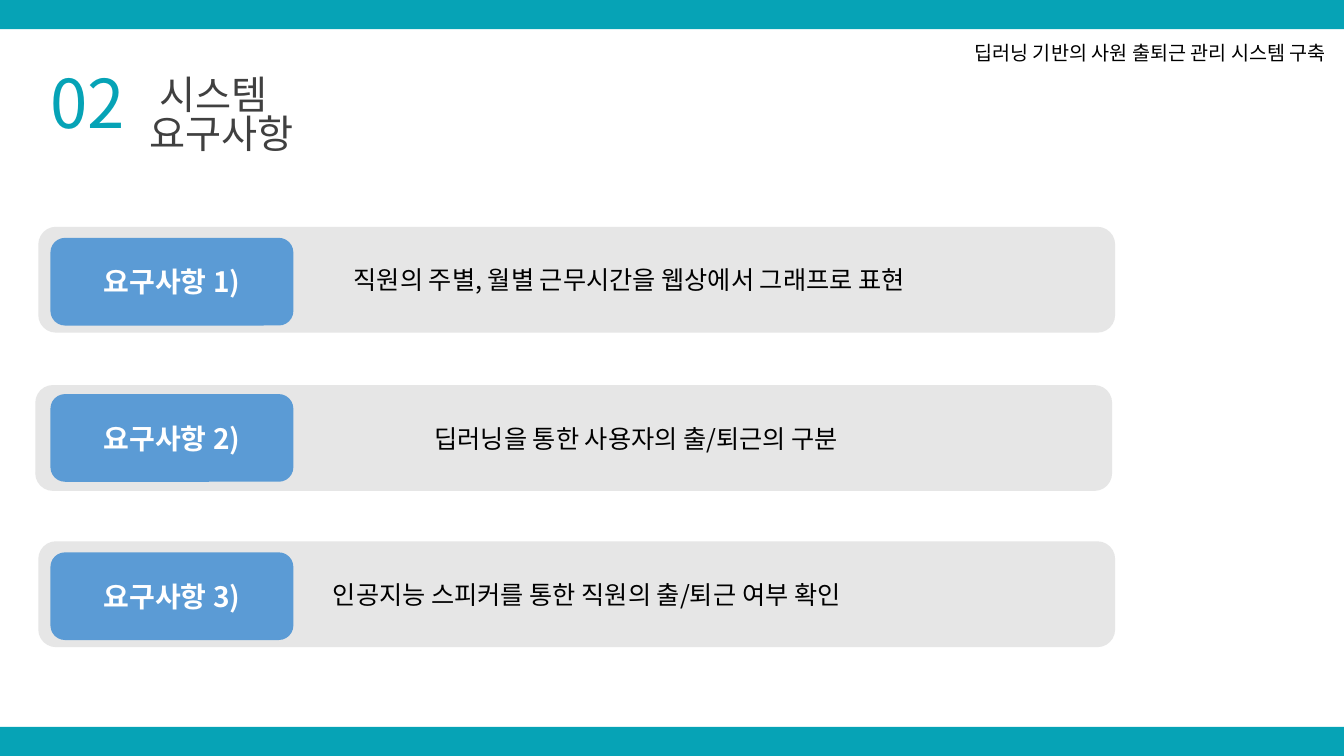
from pptx import Presentation
from pptx import util as u
from pptx.dml.color import RGBColor
from pptx.enum import shapes, text
from pptx.oxml.ns import qn
from lxml import etree

TEAL, BLUE, GREY = "06A3B6", "5B9BD5", "E6E6E6"
BLACK, DARK, WHITE = "000000", "404040", "FFFFFF"
LEFT, CENTER = text.PP_ALIGN.LEFT, text.PP_ALIGN.CENTER


def color(hex_value):
    return RGBColor.from_string(hex_value)


class RequirementSlide:
    font_name = "Noto Sans CJK KR"

    def __init__(self, prs):
        self.slide = prs.slides.add_slide(prs.slide_layouts[5])

    def set_words(self, shape, words, size, ink, align=LEFT, bold=False):
        frame = shape.text_frame
        frame.text = words
        for paragraph in frame.paragraphs:
            paragraph.alignment = align
            for run in paragraph.runs:
                font = run.font
                font.name, font.size, font.bold = self.font_name, u.Pt(size), bold
                font.color.rgb = color(ink)
                east_asian = etree.Element(qn("a:ea"), typeface=self.font_name)
                font._element.find(qn("a:latin")).addnext(east_asian)
        return frame

    def title(self, box, words, size, ink, first_indent):
        heading = self.slide.shapes.title
        heading.left, heading.top, heading.width, heading.height = map(u.Inches, box)
        frame = self.set_words(heading, words, size, ink)
        frame.vertical_anchor = text.MSO_ANCHOR.TOP
        frame.auto_size = text.MSO_AUTO_SIZE.NONE
        paragraph = frame.paragraphs[0]
        paragraph.line_spacing = 0.83
        properties = paragraph._p.get_or_add_pPr()
        properties.set("marL", "0")
        properties.set("indent", str(u.Inches(first_indent)))

    def label(self, box, words, size, ink, align=LEFT):
        caption = self.slide.shapes.add_textbox(*map(u.Inches, box))
        self.set_words(caption, words, size, ink, align).word_wrap = False

    def block(self, kind, box, fill):
        panel = self.slide.shapes.add_shape(kind, *map(u.Inches, box))
        panel.shadow.inherit = False
        panel.fill.solid()
        panel.fill.fore_color.rgb = color(fill)
        panel.line.fill.background()
        return panel

    def band(self, top):
        self.block(shapes.MSO_SHAPE.RECTANGLE, (0, top, 13.33, 0.29), TEAL)

    def card(self, box, fill, words, size, ink, align=CENTER, bold=False, inset=0.1):
        panel = self.block(shapes.MSO_SHAPE.ROUNDED_RECTANGLE, box, fill)
        frame = self.set_words(panel, words, size, ink, align, bold)
        frame.vertical_anchor = text.MSO_ANCHOR.MIDDLE
        frame.margin_left = u.Inches(inset)


def main():
    prs = Presentation()
    prs.slide_width, prs.slide_height = u.Inches(13.33), u.Inches(7.5)
    page = RequirementSlide(prs)

    # Top and bottom bands
    for band_top in (0, 7.21):
        page.band(band_top)

    # Project name, section number and title
    page.label((9.49, 0.36, 3.84, 0.34), "딥러닝 기반의 사원 출퇴근 관리 시스템 구축", 14, BLACK, CENTER)
    page.label((0.4, 0.56, 1.08, 0.91), "02", 48, TEAL)
    page.title((1.38, 0.73, 2.84, 1.05), "시스템\v요구사항", 28, DARK, 0.1)

    # Requirements: bar left, bar top, tag top, alignment, left inset, description
    requirements = [
        (0.38, 2.25, 2.36, CENTER, 1.14, "직원의 주별, 월별 근무시간을 웹상에서 그래프로 표현"),
        (0.35, 3.82, 3.91, CENTER, 1.34, "딥러닝을 통한 사용자의 출/퇴근의 구분"),
        (0.38, 5.37, 5.48, LEFT, 2.87, "인공지능 스피커를 통한 직원의 출/퇴근 여부 확인"),
    ]
    for number, (left, top, tag_top, align, inset, description) in enumerate(requirements, 1):
        page.card((left, top, 10.68, 1.05), GREY, description, 18, BLACK, align, inset=inset)
        page.card((0.5, tag_top, 2.41, 0.87), BLUE, f"요구사항 {number})", 20, WHITE, bold=True)

    prs.save("out.pptx")


if __name__ == "__main__":
    main()
